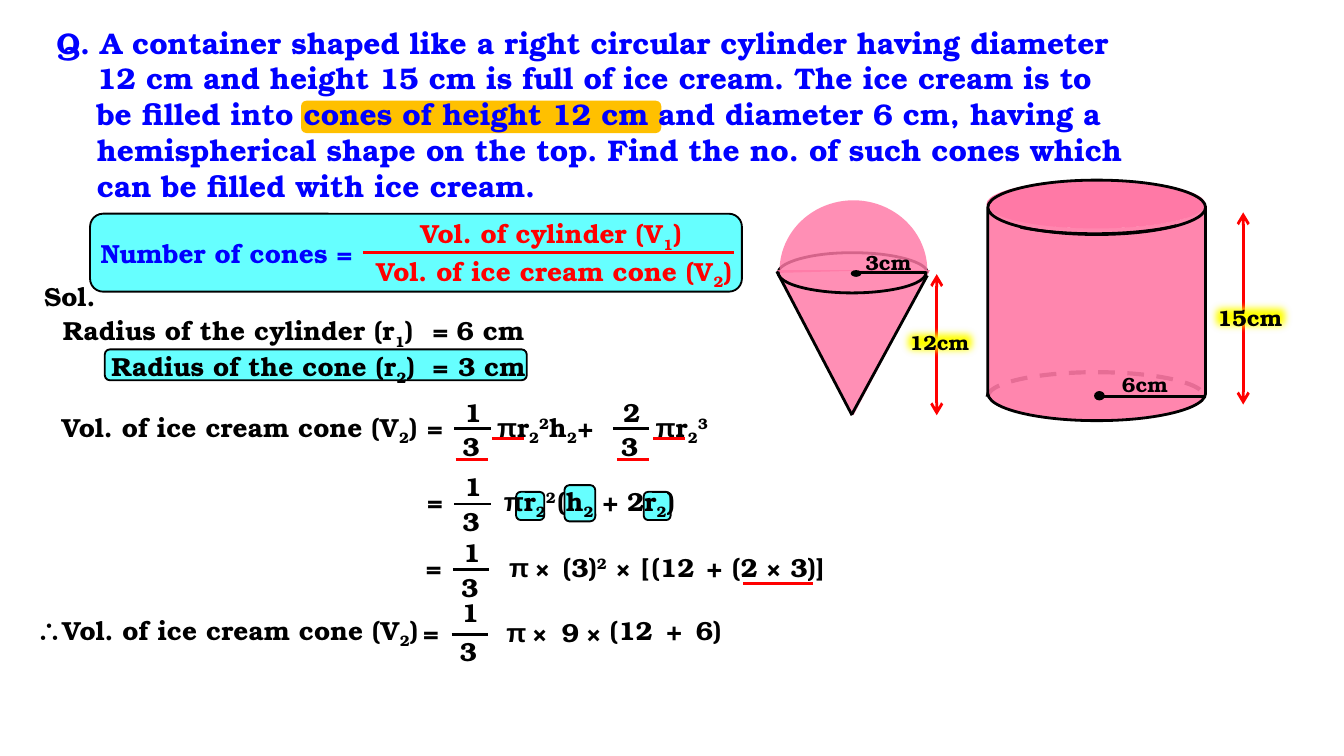
"""Build a worked geometry slide: filling ice cream cones from a cylinder."""
from lxml import etree
from pptx import Presentation
from pptx.dml.color import RGBColor
from pptx.enum.dml import MSO_LINE
from pptx.enum.shapes import MSO_CONNECTOR, MSO_SHAPE
from pptx.enum.text import MSO_ANCHOR, MSO_AUTO_SIZE, PP_ALIGN
from pptx.oxml.ns import qn
from pptx.util import Inches, Pt

ROUND, ARC, OVAL = MSO_SHAPE.ROUNDED_RECTANGLE, MSO_SHAPE.ARC, MSO_SHAPE.OVAL
RECT, CAN, PIE = MSO_SHAPE.RECTANGLE, MSO_SHAPE.CAN, MSO_SHAPE.PIE
TRIANGLE = MSO_SHAPE.ISOSCELES_TRIANGLE
STRAIGHT, DASH = MSO_CONNECTOR.STRAIGHT, MSO_LINE.DASH
LEFT, CENTER, TOP = PP_ALIGN.LEFT, PP_ALIGN.CENTER, MSO_ANCHOR.TOP
NO_FIT, GROW = MSO_AUTO_SIZE.NONE, MSO_AUTO_SIZE.SHAPE_TO_FIT_TEXT

FONT, SYMBOL_FONT = "TeX Gyre Bonum", "Arial"
COLORS = {"black": "000000", "blue": "0000FF", "red": "FF0000", "cyan": "66FFFF",
          "orange": "FFC000", "pink": "FF79A6", "yellow": "FFFF00"}
BASELINES = {"_": "-25000", "^": "30000"}

QUESTION = [
    "Q. A container shaped like a right circular cylinder having diameter",
    "12 cm and height 15 cm is full of ice cream. The ice cream is to",
    "be filled into cones of height 12 cm and diameter 6 cm, having a",
    "hemispherical shape on the top. Find the no. of such cones which",
    "can be filled with ice cream.",
]
OUTLINED = {"fill": "cyan", "line": "black", "width": 1}
HIGHLIGHTS = [
    ((2.24, 0.75, 2.68, 0.24), {"fill": "orange"}),
    ((0.67, 1.59, 4.85, 0.58), OUTLINED),
    ((0.78, 2.6, 3.14, 0.23), OUTLINED),
    ((3.84, 3.66, 0.21, 0.21), OUTLINED),
    ((4.2, 3.61, 0.23, 0.27), OUTLINED),
    ((4.79, 3.66, 0.2, 0.21), OUTLINED),
]
FORMULA = [
    (0.65, 1.72, 2.2, "Number of cones =", "blue"),
    (3.03, 1.57, 2.3, "Vol. of cylinder (V_1)", "red"),
    (2.7, 1.85, 2.9, "Vol. of ice cream cone (V_2)", "red"),
]
ROWS = [
    (2.04, [(0.23, 0.72, "Sol.")]),
    (2.29, [(0.37, 3.2, "Radius of the cylinder (r_1)"), (3.12, 0.35, "="),
            (3.3, 0.81, "6 cm")]),
    (2.56, [(0.73, 2.6, "Radius of the cone (r_2)"), (3.12, 0.35, "="),
            (3.31, 0.81, "3 cm")]),
    (3.01, [(0.36, 2.98, "Vol. of ice cream cone (V_2)"), (3.08, 0.34, "="),
            (3.6, 0.84, "πr_2^2h_2"), (4.2, 0.34, "+"), (4.78, 0.82, "πr_2^3")]),
    (3.56, [(3.08, 0.42, "="), (3.65, 0.82, "πr_2^2"), (4.05, 1.17, "(h_2 + 2r_2)")]),
    (4.05, [(3.07, 0.42, "="), (3.69, 0.36, "π"), (3.88, 0.42, "×"), (4.09, 0.6, "(3)^2"),
            (4.48, 0.42, "×"), (4.67, 0.32, "["), (4.75, 0.59, "(12"), (5.16, 0.34, "+"),
            (5.35, 0.54, "(2"), (5.6, 0.89, "× 3)]")]),
    (4.52, [(0.17, 3.17, "∴Vol. of ice cream cone (V_2)"), (4.44, 0.59, "(12"),
            (4.86, 0.34, "+"), (5.08, 0.51, "6)")]),
    (4.54, [(3.05, 0.42, "="), (3.67, 0.36, "π"), (3.86, 0.42, "×"), (4.08, 0.6, "9"),
            (4.26, 0.42, "×")]),
]
FRACTIONS = [("1", "3", 3.29, 2.9, 0.25), ("2", "3", 4.47, 2.9, 0.25),
             ("1", "3", 3.29, 3.45, 0.26), ("1", "3", 3.28, 3.94, 0.26),
             ("1", "3", 3.27, 4.39, 0.29)]
RED_RULES = [(2.7, 1.88, 2.76), (3.39, 3.42, 0.24), (4.59, 3.42, 0.24),
             (3.66, 3.26, 0.24), (4.86, 3.26, 0.24), (5.53, 4.34, 0.52)]

CONE_RIM = [(5.79, 2.03), (5.79, 1.95, 6.04, 1.88, 6.34, 1.88),
            (6.65, 1.88, 6.9, 1.95, 6.9, 2.03)]
CYLINDER_BODY = [(7.36, 1.54), (7.59, 1.77, 8.86, 1.73, 8.96, 1.54), (8.96, 2.97),
                 (8.93, 3.1, 7.75, 3.24, 7.36, 2.97)]
SOLIDS = [
    (TRIANGLE, (5.78, 2.01, 1.14, 1.08), {"fill": "pink", "alpha": 83, "rotation": 180}),
    (PIE, (5.8, 1.49, 1.1, 1.05),
     {"fill": "pink", "alpha": 83, "rotation": 180, "adj": (215.06, 108.8)}),
    (OVAL, (7.34, 1.34, 1.63, 0.36), {"fill": "pink"}),
    (OVAL, (6.33, 2.01, 0.08, 0.05), {"fill": "black"}),
    (OVAL, (8.14, 2.91, 0.08, 0.07), {"fill": "black"}),
    (CAN, (7.35, 1.34, 1.62, 1.79), {"line": "black"}),
    (ARC, (7.33, 1.38, 1.63, 0.36), {"line": "black", "adj": (6.71, 99.91)}),
    (ARC, (5.79, 1.88, 1.1, 0.3), {"line": "black", "adj": (215.42, 108.42)}),
]
EDGES = [(5.78, 2.02, 6.34, 3.09), (6.34, 3.08, 6.9, 2.05),
         (6.36, 2.03, 6.89, 2.03), (8.16, 2.95, 8.96, 2.95)]
HEIGHTS = [(6.97, 2.04, 6.97, 3.09), (9.25, 1.58, 9.25, 3.01)]
RADIUS_LABELS = [(6.34, 1.81, 0.65, "3cm"), (8.25, 2.72, 0.67, "6cm")]
HEIGHT_LABELS = [((6.67, 2.4, 0.65, 0.29), "12cm", 11), ((8.96, 2.21, 0.69, 0.3), "15cm", 12)]


def rgb(name):
    return RGBColor.from_string(COLORS[name])


def split_runs(text):
    runs, base = [], None
    for ch in text:
        if ch in BASELINES:
            base = BASELINES[ch]
            continue
        key = (base, SYMBOL_FONT if ch == "π" else FONT)
        if runs and runs[-1][0] == key:
            runs[-1][1].append(ch)
        else:
            runs.append((key, [ch]))
        base = None
    return [(base, font, "".join(chars)) for (base, font), chars in runs]


def write(p, text, size=14, color="black", align=LEFT):
    p.alignment = align
    for base, font, part in split_runs(text):
        r = p.add_run()
        r.text = part
        for key, value in {"name": font, "size": Pt(size), "bold": True}.items():
            setattr(r.font, key, value)
        r.font.color.rgb = rgb(color)
        if base:
            r._r.get_or_add_rPr().set("baseline", base)


def add_text(s, x, y, w, text, **style):
    tf = s.shapes.add_textbox(*map(Inches, (x, y, w, 0.34))).text_frame
    tf.word_wrap, tf.auto_size = True, GROW
    write(tf.paragraphs[0], text, **style)


def paint(sp, fill=None, alpha=None, line=None, width=1.5, dash=None, rotation=0, adj=()):
    sp.shadow.inherit = False
    sp.rotation = rotation
    for i, value in enumerate(adj):
        sp.adjustments[i] = value
    if fill:
        sp.fill.solid()
        sp.fill.fore_color.rgb = rgb(fill)
    else:
        sp.fill.background()
    if alpha:
        clr = sp._element.spPr.find(qn("a:solidFill"))[0]
        etree.SubElement(clr, qn("a:alpha")).set("val", str(alpha * 1000))
    if line:
        sp.line.color.rgb, sp.line.width, sp.line.dash_style = rgb(line), Pt(width), dash
    else:
        sp.line.fill.background()


def add_shape(s, kind, box, **style):
    sp = s.shapes.add_shape(kind, *map(Inches, box))
    paint(sp, **style)
    return sp


def add_line(s, ends, color="black", arrows=False):
    c = s.shapes.add_connector(STRAIGHT, *map(Inches, ends))
    c.line.color.rgb, c.line.width = rgb(color), Pt(1.5)
    if arrows:
        for tag in ("a:headEnd", "a:tailEnd"):
            etree.SubElement(c.line._get_or_add_ln(), qn(tag)).set("type", "arrow")
    etree.SubElement(c._element.spPr, qn("a:effectLst"))


def add_outline(s, steps, close, n=16, **style):
    points = [steps[0]]
    for step in steps[1:]:
        if len(step) == 2:
            points.append(step)
            continue
        a, b, c, d = points[-1], step[:2], step[2:4], step[4:]
        for t in (i / n for i in range(1, n + 1)):
            u = 1 - t
            points.append(tuple(u**3 * a[k] + 3 * u * u * t * b[k] + 3 * u * t * t * c[k]
                                + t**3 * d[k] for k in (0, 1)))
    points = [tuple(map(Inches, pt)) for pt in points]
    fb = s.shapes.build_freeform(*points[0])
    fb.add_line_segments(points[1:], close=close)
    paint(fb.convert_to_shape(), **style)


def add_question(s):
    title = s.shapes.title
    title.left, title.top, title.width, title.height = map(Inches, (0.32, 0.13, 8.59, 1.45))
    tf = title.text_frame
    tf.word_wrap, tf.auto_size, tf.vertical_anchor = True, NO_FIT, TOP
    for i, text in enumerate(QUESTION):
        p = tf.add_paragraph() if i else tf.paragraphs[0]
        p._p.get_or_add_pPr().set("marL", str(Inches(0.3 if i else 0)))
        write(p, text, size=16, color="blue")
    s.shapes._spTree.append(title._element)


def add_solution(s):
    for x, y, w, text, color in FORMULA:
        add_text(s, x, y, w, text, color=color)
    for y, cells in ROWS:
        for x, w, text in cells:
            add_text(s, x, y, w, text)
    for top, bottom, x, y, gap in FRACTIONS:
        add_text(s, x, y, 0.46, top, align=CENTER)
        add_text(s, x, y + gap, 0.43, bottom, align=CENTER)
        add_line(s, (x + 0.09, y + gap + 0.04, x + 0.36, y + gap + 0.04))
    for x, y, w in RED_RULES:
        add_line(s, (x, y, x + w, y), "red")


def add_diagram(s):
    add_shape(s, ARC, (7.35, 2.77, 1.61, 0.36), line="black", width=2.25, dash=DASH,
              adj=(107.9, 215.65))
    add_outline(s, CONE_RIM, False, line="black")
    add_outline(s, CYLINDER_BODY, True, fill="pink", alpha=90)
    for kind, box, style in SOLIDS:
        add_shape(s, kind, box, **style)
    for ends in EDGES:
        add_line(s, ends)
    for ends in HEIGHTS:
        add_line(s, ends, "red", arrows=True)
    for x, y, w, text in RADIUS_LABELS:
        add_text(s, x, y, w, text, size=11)
    for box, text, size in HEIGHT_LABELS:
        sp = add_shape(s, RECT, box, fill="yellow")
        effects = sp._element.spPr.find(qn("a:effectLst"))
        etree.SubElement(effects, qn("a:softEdge")).set("rad", str(Pt(5)))
        sp.text_frame.word_wrap = False
        write(sp.text_frame.paragraphs[0], text, size=size)


def main():
    prs = Presentation()
    prs.slide_width, prs.slide_height = Inches(10), Inches(10 * 9 / 16)
    s = prs.slides.add_slide(prs.slide_layouts[5])
    for box, style in HIGHLIGHTS:
        add_shape(s, ROUND, box, **style)
    add_question(s)
    add_solution(s)
    add_diagram(s)
    prs.save("out.pptx")


if __name__ == "__main__":
    main()
